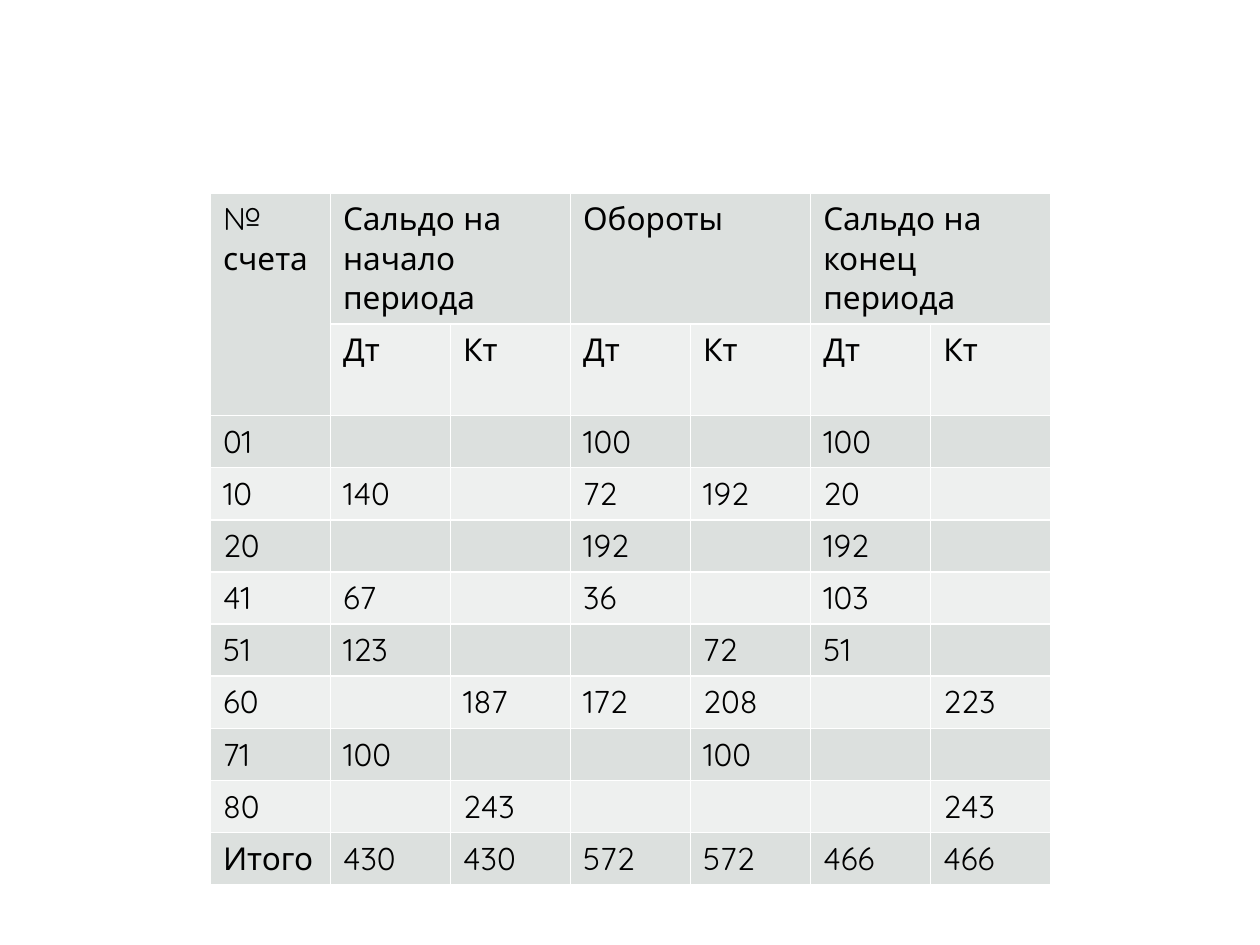
from lxml.etree import SubElement
from pptx import Presentation
from pptx.dml.color import RGBColor
from pptx.oxml.ns import qn
from pptx.util import Inches, Pt

HEADINGS = ["Сальдо на начало периода", "Обороты", "Сальдо на конец периода"]
ACCOUNTS = [
    ["01", "", "", "100", "", "100", ""],
    ["10", "140", "", "72", "192", "20", ""],
    ["20", "", "", "192", "", "192", ""],
    ["41", "67", "", "36", "", "103", ""],
    ["51", "123", "", "", "72", "51", ""],
    ["60", "", "187", "172", "208", "", "223"],
    ["71", "100", "", "", "100", "", ""],
    ["80", "", "243", "", "", "", "243"],
    ["Итого", "430", "430", "572", "572", "466", "466"],
]


def color(value):
    return RGBColor.from_string(value)


class SlideBuilder:
    font = "Quicksand"
    size = Pt(18)
    text_color = "000000"
    border_color = "FFFFFF"
    bands = ["DCE0DE", "EEF0EF"]

    def __init__(self, slide):
        self.slide = slide

    def border(self, cell):
        """Draw a thin line on all four sides; call before filling the cell."""
        properties = cell._tc.get_or_add_tcPr()
        for side in ("lnL", "lnR", "lnT", "lnB"):
            line = SubElement(properties, qn(f"a:{side}"), w=str(Pt(1)))
            fill = SubElement(line, qn("a:solidFill"))
            SubElement(fill, qn("a:srgbClr"), val=self.border_color)

    def cell(self, cell, text, fill):
        self.border(cell)
        cell.fill.solid()
        cell.fill.fore_color.rgb = color(fill)
        if text:
            span = cell.text_frame.paragraphs[0].add_run()
            span.text = text
            span.font.name = self.font
            span.font.size = self.size
            span.font.color.rgb = color(self.text_color)

    def table(self, rows, left, top, width, height, row_height, merges):
        """Add a banded table; each merge is a pair of (row, column) corners."""
        frame = self.slide.shapes.add_table(
            len(rows), len(rows[0]), left, top, width, height)
        table = frame.table
        table.first_row = False
        table.horz_banding = False
        for r, texts in enumerate(rows):
            table.rows[r].height = row_height
            for c, text in enumerate(texts):
                self.cell(table.cell(r, c), text, self.bands[r % 2])
        for first, last in merges:
            table.cell(*first).merge(table.cell(*last))
        frame.height = height


def main():
    deck = Presentation()
    deck.slide_width, deck.slide_height = Inches(10), Inches(7.5)
    page = deck.slides.add_slide(deck.slide_layouts[6])

    top_row = ["№ счета"]
    for heading in HEADINGS:
        top_row += [heading, ""]
    sub_row = [""] + ["Дт", "Кт"] * len(HEADINGS)
    merges = [((0, 0), (1, 0))]
    merges += [((0, c), (0, c + 1)) for c in range(1, len(top_row), 2)]

    SlideBuilder(page).table(
        [top_row, sub_row] + ACCOUNTS,
        Inches(1.67), Inches(1.53), Inches(6.67), Inches(5.06),
        Inches(0.41), merges)
    deck.save("out.pptx")


if __name__ == "__main__":
    main()
